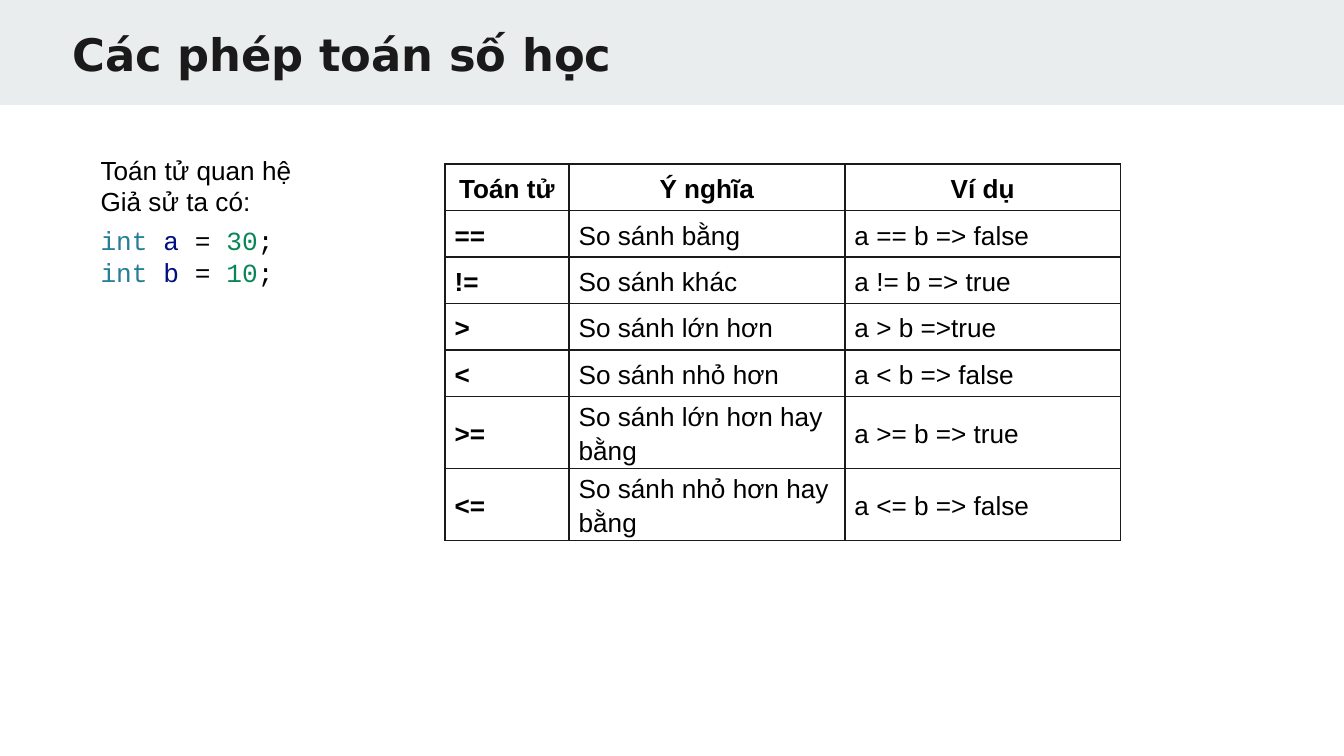
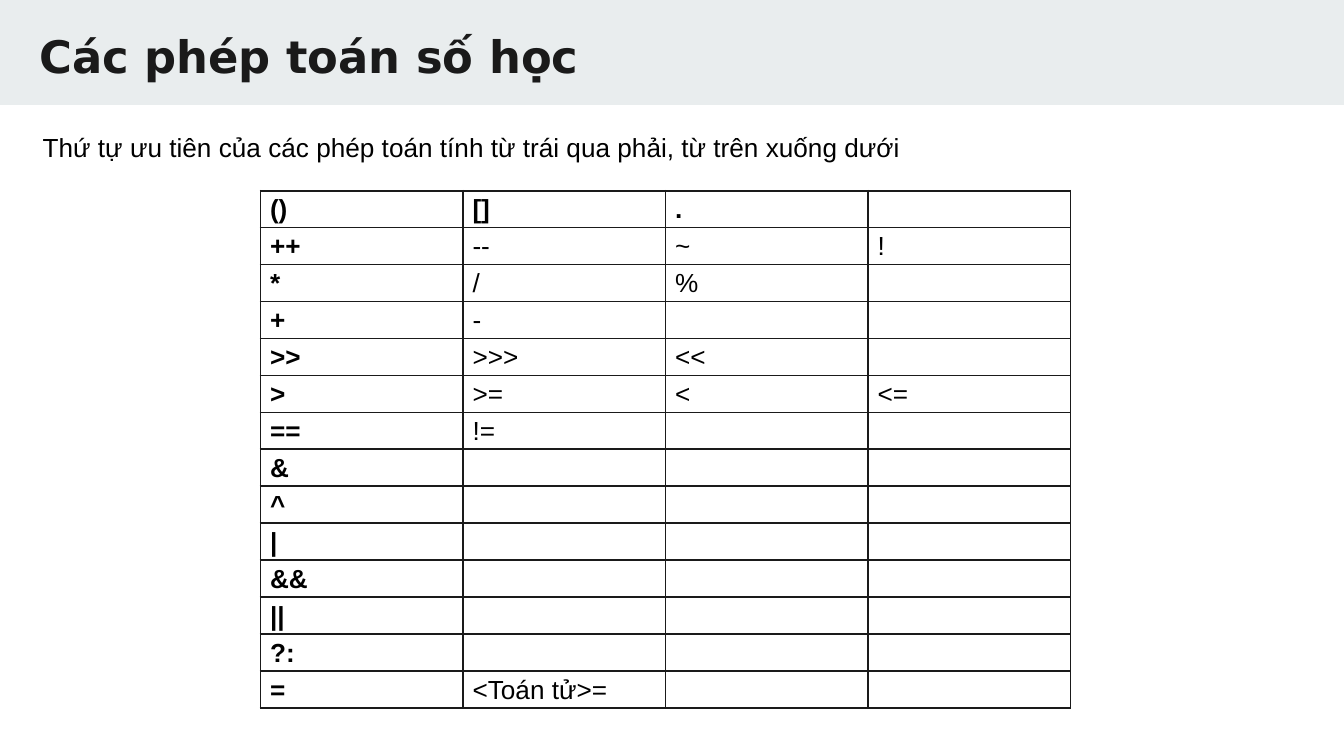
"""Build two slides on relational operators and operator precedence."""
import pptx
import pptx.util
import pptx.dml.color
import pptx.enum.shapes
import pptx.enum.text
import pptx.oxml
import pptx.oxml.ns
from lxml import etree

Pt = pptx.util.Pt
RGB = pptx.dml.color.RGBColor
ALIGN = pptx.enum.text.PP_ALIGN
ANCHOR = pptx.enum.text.MSO_ANCHOR

BLACK = RGB(0, 0, 0)
INK = RGB(0x1A, 0x1A, 0x1A)
BAND = RGB(0xE9, 0xED, 0xEE)
TYPE = RGB(0x26, 0x7F, 0x99)
NAME = RGB(0x00, 0x10, 0x80)
NUM = RGB(0x09, 0x86, 0x58)

HEAD = {"name": "DejaVu Sans", "size": Pt(24), "bold": True}
BODY = {"name": "Arial", "size": Pt(14), "bold": False}
BOLD = {**BODY, "bold": True}
CODE = {**BODY, "name": "Courier New"}
PAD = {"margin_left": Pt(5.2), "margin_right": Pt(5.2),
       "margin_top": 0, "margin_bottom": 0}

TITLE = "Các phép toán số học"
RELS = [
    ["Toán tử", "Ý nghĩa", "Ví dụ"],
    ["==", "So sánh bằng", "a == b => false"],
    ["!=", "So sánh khác", "a != b => true"],
    [">", "So sánh lớn hơn", "a > b =>true"],
    ["<", "So sánh nhỏ hơn", "a < b => false"],
    [">=", "So sánh lớn hơn hay bằng", "a >= b => true"],
    ["<=", "So sánh nhỏ hơn hay bằng", "a <= b => false"],
]
RANKS = [
    ["()", "[]", "."], ["++", "--", "~", "!"], ["*", "/", "%"], ["+", "-"],
    [">>", ">>>", "<<"], [">", ">=", "<", "<="], ["==", "!="],
    ["&"], ["^"], ["|"], ["&&"], ["||"], ["?:"], ["=", "<Toán tử>="],
]


def apply(item, form):
    """Set each attribute named in form on item."""
    for key, val in form.items():
        setattr(item, key, val)


def add_run(para, text, form, color=BLACK):
    """Append a styled run to a paragraph."""
    run = para.add_run()
    run.text = text
    apply(run.font, form)
    run.font.color.rgb = color


def add_band(slide):
    """Place the title band at the back of the layout."""
    rect = pptx.enum.shapes.MSO_SHAPE.RECTANGLE
    band = slide.shapes.add_shape(rect, 0, 0, Pt(720), Pt(56.2))
    band.shadow.inherit = False
    band.fill.solid()
    band.fill.fore_color.rgb = BAND
    band.line.fill.background()
    slide.slide_layout.shapes.element.insert(2, band.element)


def add_title(slide, left, top):
    """Move and fill the title placeholder."""
    box = slide.shapes.title
    apply(box, {"left": Pt(left), "top": Pt(top),
                "width": Pt(621.4), "height": Pt(52.6)})
    frame = box.text_frame
    sides = ("left", "right", "top", "bottom")
    apply(frame, {f"margin_{side}": Pt(7.2) for side in sides})
    apply(frame, {"vertical_anchor": ANCHOR.TOP, "word_wrap": True,
                  "auto_size": pptx.enum.text.MSO_AUTO_SIZE.NONE})
    para = frame.paragraphs[0]
    para.alignment = ALIGN.LEFT
    add_run(para, TITLE, HEAD, INK)


def add_text(slide, box, lines, form):
    """Add a text box whose lines are lists of (text, colour) parts."""
    frame = slide.shapes.add_textbox(*map(Pt, box)).text_frame
    frame.word_wrap = True
    for row, parts in enumerate(lines):
        para = frame.add_paragraph() if row else frame.paragraphs[0]
        for text, color in parts:
            add_run(para, text, form, color)


def code_line(var, val):
    """Return the coloured parts of an int declaration."""
    return [("int ", TYPE), (var, NAME), (" = ", BLACK),
            (val, NUM), (";", BLACK)]


def add_edges(cell):
    """Draw a thin dark line on all four sides of a cell."""
    props = cell._tc.get_or_add_tcPr()
    for side in ("lnL", "lnR", "lnT", "lnB"):
        props.append(pptx.oxml.parse_xml(
            f'<a:{side} {pptx.oxml.ns.nsdecls("a")} w="12700"><a:solidFill>'
            f'<a:srgbClr val="{INK}"/></a:solidFill></a:{side}>'))


def fill_cell(cell, text, form, align, anchor):
    """Write and format one table cell."""
    apply(cell, {**PAD, "vertical_anchor": anchor})
    add_edges(cell)
    cell.fill.background()
    para = cell.text_frame.paragraphs[0]
    apply(para, {"alignment": align, "line_spacing": 1.15})
    if text:
        add_run(para, text, form)
    else:
        end = pptx.oxml.ns.qn("a:endParaRPr")
        etree.SubElement(para._p, end, sz="1400")


def add_grid(slide, left, top, widths, high, rows, align, anchor):
    """Add a ruled table with a bold first row and first column."""
    table = slide.shapes.add_table(
        len(rows), len(widths), Pt(left), Pt(top),
        Pt(sum(widths)), Pt(high * len(rows))).table
    apply(table, {"first_row": False, "horz_banding": False})
    for col, width in zip(table.columns, widths):
        col.width = Pt(width)
    for y, row in enumerate(rows):
        table.rows[y].height = Pt(high)
        for x in range(len(widths)):
            text = row[x] if x < len(row) else ""
            form = BODY if x and y else BOLD
            fill_cell(table.cell(y, x), text, form,
                      ALIGN.LEFT if y else align, anchor)


def main():
    """Build and save the deck."""
    deck = pptx.Presentation()
    apply(deck, {"slide_width": Pt(720), "slide_height": Pt(405)})
    plain = deck.slide_layouts[5]

    slide = deck.slides.add_slide(plain)
    add_band(slide)
    add_title(slide, 31.5, 7.2)
    add_text(slide, (46.8, 79.2, 609.8, 58.3),
             [[("Toán tử quan hệ", BLACK)], [("Giả sử ta có:", BLACK)]], BODY)
    add_grid(slide, 238.4, 87.9, [66.4, 147.8, 147.8], 24.9, RELS,
             ALIGN.CENTER, ANCHOR.MIDDLE)
    add_text(slide, (46.8, 116.8, 360, 41),
             [code_line("a", "30"), code_line("b", "10")], CODE)

    slide = deck.slides.add_slide(plain)
    add_title(slide, 13.8, 8.2)
    add_text(slide, (15.8, 67, 570.2, 24.5),
             [[("Thứ tự ưu tiên của các phép toán tính từ trái qua phải, "
                "từ trên xuống dưới", BLACK)]], BODY)
    add_grid(slide, 139.5, 102.2, [108.5] * 4, 19.8, RANKS,
             ALIGN.LEFT, ANCHOR.TOP)

    deck.save("out.pptx")


if __name__ == "__main__":
    main()
